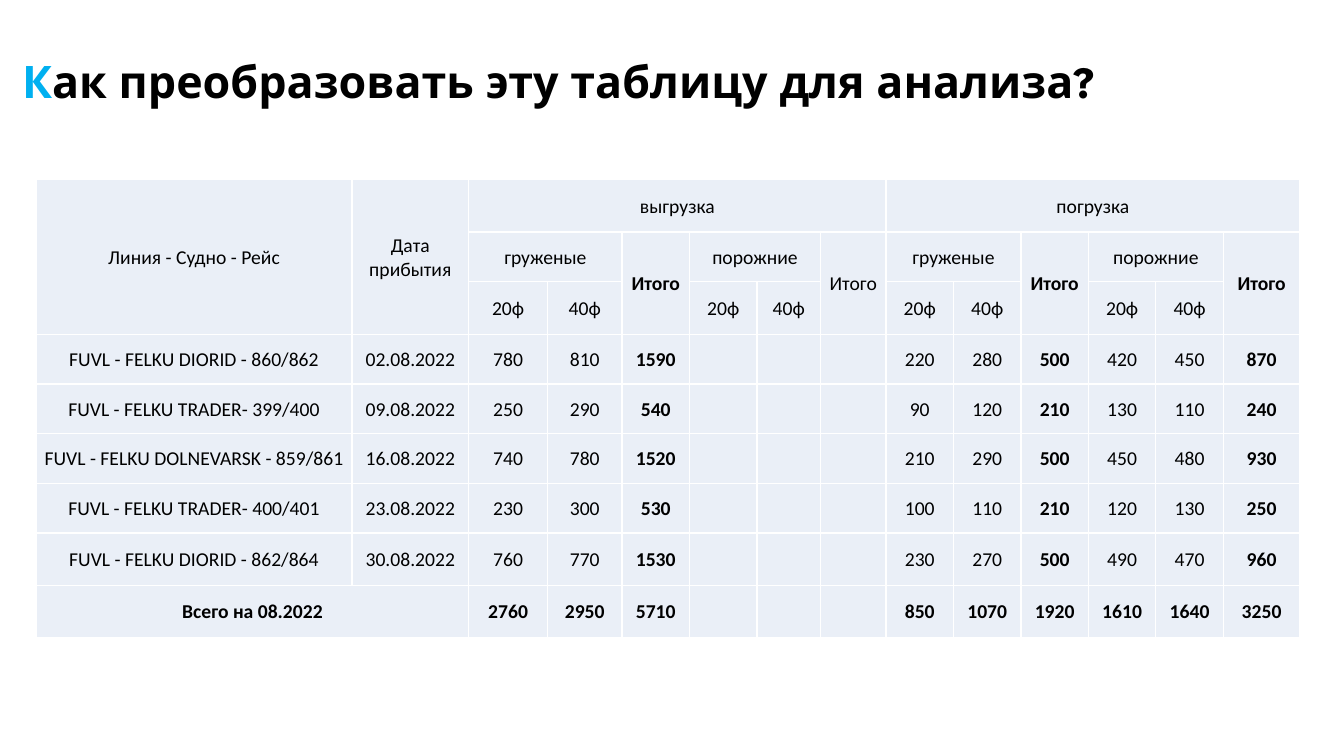
from lxml import etree
from pptx import Presentation
from pptx.dml.color import RGBColor
from pptx.enum import text
from pptx.oxml import ns
from pptx.util import Pt

TITLE = [("К", "accent"), ("ак преобразовать эту таблицу для анализа?", "ink")]

# (row, column, row span, column span, text)
HEADERS = [
    (0, 0, 3, 1, "Линия - Судно - Рейс"),
    (0, 1, 3, 1, "Дата прибытия"),
    (0, 2, 1, 6, "выгрузка"),
    (0, 8, 1, 6, "погрузка"),
]
GROUPS = ["груженые", "порожние", "груженые", "порожние"]
SIZES = ["20ф", "40ф"]
TOTAL = "Итого"

# line - vessel - voyage, arrival date, unloaded (laden), loaded (laden, empty)
VOYAGES = [
    ("FUVL - FELKU DIORID - 860/862", "02.08.2022",
     (780, 810, 1590), (220, 280, 500, 420, 450, 870)),
    ("FUVL - FELKU TRADER- 399/400", "09.08.2022",
     (250, 290, 540), (90, 120, 210, 130, 110, 240)),
    ("FUVL - FELKU DOLNEVARSK - 859/861", "16.08.2022",
     (740, 780, 1520), (210, 290, 500, 450, 480, 930)),
    ("FUVL - FELKU TRADER- 400/401", "23.08.2022",
     (230, 300, 530), (100, 110, 210, 120, 130, 250)),
    ("FUVL - FELKU DIORID - 862/864", "30.08.2022",
     (760, 770, 1530), (230, 270, 500, 490, 470, 960)),
]
MONTH = ("Всего на 08.2022",
         (2760, 2950, 5710), (850, 1070, 1920, 1610, 1640, 3250))

THEME = {
    "accent": RGBColor(0x00, 0xB0, 0xF0),
    "ink": RGBColor(0x00, 0x00, 0x00),
    "cell": RGBColor(0xEA, 0xEF, 0xF7),
    "border": "FFFFFF",
    "border_width": Pt(1),
    "title_font": "League Spartan",
    "title_size": Pt(32),
    "table_font": "Calibri",
    "table_size": Pt(14),
}

SLIDE_SIZE = (960, 540)
TITLE_BOX = (8.64, 23.76, 941.76, 72)
TABLE_AT = (26, 128.3)
COL_WIDTHS = [225.4, 83.5, 56.2, 53.3, 48.2, 48.2, 45.4, 46.8] + [48.2] * 5 + [54.7]
ROW_HEIGHTS = [37.5, 35.5, 37.5] + [35.5] * 4 + [37.5] * 2
FIRST_NUMBER, LOADING = 2, 8
HEADER_ROWS = 3
LAST_ROW = len(ROW_HEIGHTS) - 1
BOLD_COLS = (4, 10, 13)


def add_run(p, words, font, size, color, bold):
    r = p.add_run()
    r.text = words
    r.font.name, r.font.size, r.font.bold = font, size, bold
    r.font.color.rgb = color


def add_title(slide):
    tf = slide.shapes.add_textbox(*map(Pt, TITLE_BOX)).text_frame
    tf.word_wrap = True
    tf.vertical_anchor = text.MSO_ANCHOR.MIDDLE
    p = tf.paragraphs[0]
    p.line_spacing = 0.9
    for words, color in TITLE:
        add_run(p, words, THEME["title_font"], THEME["title_size"], THEME[color], True)


def style_cell(cell):
    """Set margins, anchor, borders and fill; borders must precede the fill in XML."""
    cell.margin_left = cell.margin_right = cell.margin_top = Pt(0.75)
    cell.margin_bottom = 0
    cell.vertical_anchor = text.MSO_ANCHOR.MIDDLE
    tc_pr = cell._tc.get_or_add_tcPr()
    for side in ("a:lnL", "a:lnR", "a:lnT", "a:lnB"):
        ln = etree.SubElement(tc_pr, ns.qn(side), w=str(THEME["border_width"]))
        fill = etree.SubElement(ln, ns.qn("a:solidFill"))
        etree.SubElement(fill, ns.qn("a:srgbClr"), val=THEME["border"])
    cell.fill.solid()
    cell.fill.fore_color.rgb = THEME["cell"]


def table_items():
    """Return every filled cell as (row, column, row span, column span, text)."""
    items = list(HEADERS)
    for i, group in enumerate(GROUPS):
        col = FIRST_NUMBER + 3 * i
        items += [(1, col, 1, 2, group), (1, col + 2, 2, 1, TOTAL)]
        items += [(2, col + j, 1, 1, size) for j, size in enumerate(SIZES)]
    for row, (voyage, date, *_) in enumerate(VOYAGES, HEADER_ROWS):
        items += [(row, 0, 1, 1, voyage), (row, 1, 1, 1, date)]
    items.append((LAST_ROW, 0, 1, 2, MONTH[0]))
    for row, record in enumerate(VOYAGES + [MONTH], HEADER_ROWS):
        for start, numbers in zip((FIRST_NUMBER, LOADING), record[-2:]):
            items += [(row, start + j, 1, 1, str(n)) for j, n in enumerate(numbers)]
    return items


def add_voyage_table(slide):
    frame = slide.shapes.add_table(
        len(ROW_HEIGHTS), len(COL_WIDTHS), *map(Pt, TABLE_AT),
        Pt(sum(COL_WIDTHS)), Pt(sum(ROW_HEIGHTS)))
    table = frame.table
    table.first_row = table.horz_banding = False
    for column, width in zip(table.columns, COL_WIDTHS):
        column.width = Pt(width)
    for row, height in zip(table.rows, ROW_HEIGHTS):
        row.height = Pt(height)
    for cell in table.iter_cells():
        style_cell(cell)
    for row, col, row_span, col_span, words in table_items():
        cell = table.cell(row, col)
        if row_span * col_span > 1:
            cell.merge(table.cell(row + row_span - 1, col + col_span - 1))
        p = cell.text_frame.paragraphs[0]
        p.alignment = text.PP_ALIGN.CENTER
        bold = row == LAST_ROW or col in BOLD_COLS
        add_run(p, words, THEME["table_font"], THEME["table_size"], THEME["ink"], bold)


def main():
    prs = Presentation()
    prs.slide_width, prs.slide_height = map(Pt, SLIDE_SIZE)
    slide = prs.slides.add_slide(prs.slide_layouts[6])
    add_title(slide)
    add_voyage_table(slide)
    prs.save("out.pptx")


if __name__ == "__main__":
    main()
